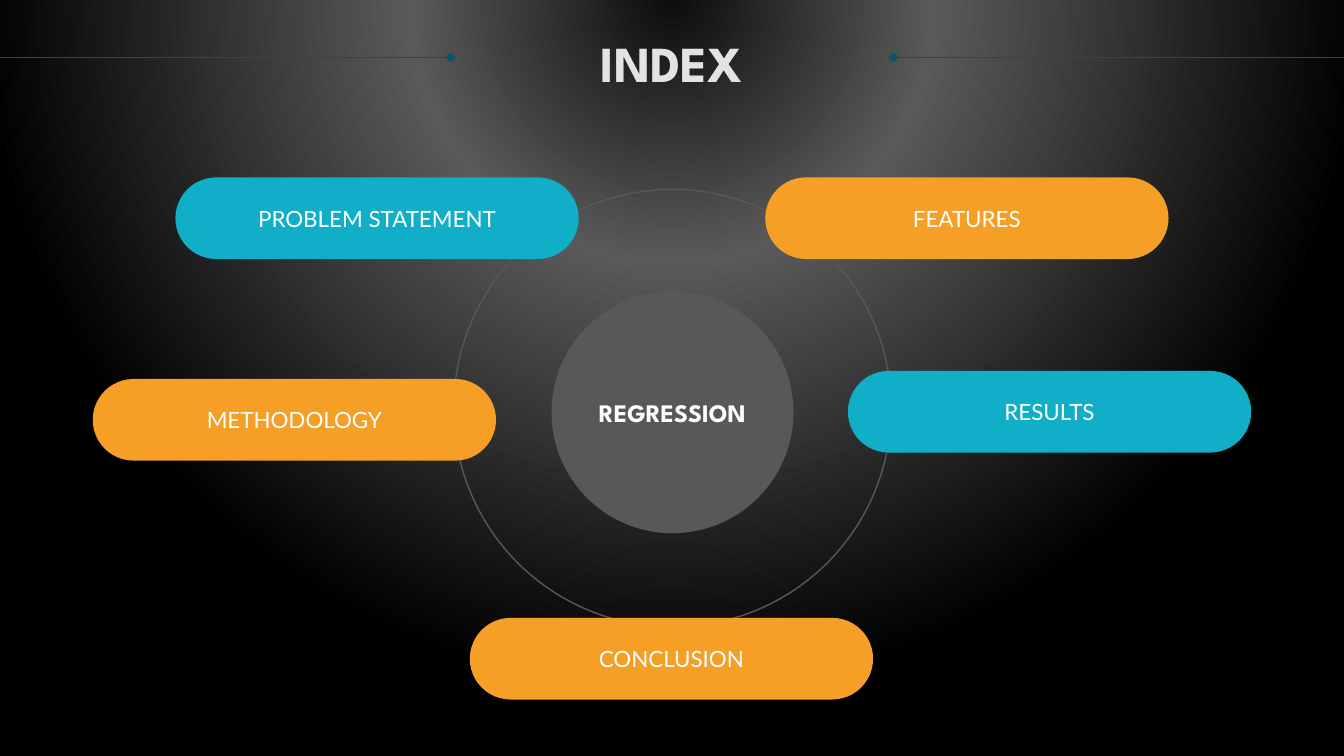
from dataclasses import dataclass

from lxml.etree import SubElement
from pptx import Presentation
from pptx.dml.color import RGBColor
from pptx.enum.shapes import MSO_CONNECTOR, MSO_SHAPE
from pptx.enum.text import MSO_ANCHOR, MSO_AUTO_SIZE, PP_ALIGN
from pptx.oxml import parse_xml
from pptx.oxml.ns import nsdecls, qn
from pptx.shapes.autoshape import Shape
from pptx.slide import Slide
from pptx.util import Inches, Pt

COLORS = {
    "orange": "F59F26",
    "cyan": "11AEC7",
    "teal": "085764",
    "gray": "585858",
    "title": "E3E3E3",
    "white": "FFFFFF",
}
# Background stops: position in percent, colour
BACKGROUND = [(0, "0D0D0D"), (34, "595959"), (90, "000000")]

TITLE_FONT = {"name": "League Spartan", "size": Pt(36), "bold": True}
HUB_FONT = {"name": "League Spartan", "size": Pt(18), "bold": True}
PILL_FONT = {"name": "Lato", "size": Pt(16), "bold": False}

PILL_WIDTH, PILL_HEIGHT = 4, 0.81
CENTER_X = 6.67
RULE_Y = 0.57


@dataclass
class Pill:
    text: str
    left: float
    top: float
    color: str


@dataclass
class Rule:
    start: float
    end: float
    dot_tag: str


PILLS = [
    Pill("FEATURES", 7.59, 1.76, "orange"),
    Pill("CONCLUSION", 4.66, 6.13, "orange"),
    Pill("PROBLEM STATEMENT", 1.74, 1.76, "cyan"),
    Pill("METHODOLOGY", 0.92, 3.76, "orange"),
    Pill("RESULTS", 8.41, 3.68, "cyan"),
]
RULES = [Rule(0, 4.47, "a:tailEnd"), Rule(8.86, 13.33, "a:headEnd")]


def rgb(name: str) -> RGBColor:
    return RGBColor.from_string(COLORS[name])


def set_background(s: Slide) -> None:
    s.background.fill.solid()
    solid = s.element.find(".//" + qn("p:bgPr")).find(qn("a:solidFill"))
    stops = "".join(
        f'<a:gs pos="{pos * 1000}"><a:srgbClr val="{color}"/></a:gs>'
        for pos, color in BACKGROUND
    )
    gradient = parse_xml(
        f'<a:gradFill {nsdecls("a")} rotWithShape="1"><a:gsLst>{stops}</a:gsLst>'
        '<a:path path="circle"><a:fillToRect l="50000" t="-80000" r="50000" b="180000"/>'
        "</a:path></a:gradFill>"
    )
    solid.getparent().replace(solid, gradient)


def set_text(sp: Shape, text: str, font: dict, color: str, anchor: MSO_ANCHOR) -> None:
    tf = sp.text_frame
    tf.word_wrap = True
    tf.vertical_anchor = anchor
    p = tf.paragraphs[0]
    p.alignment = PP_ALIGN.CENTER
    r = p.add_run()
    r.text = text
    for key, value in font.items():
        setattr(r.font, key, value)
    r.font.color.rgb = rgb(color)


def add_filled(s: Slide, kind: MSO_SHAPE, box: tuple, color: str) -> Shape:
    sp = s.shapes.add_shape(kind, *map(Inches, box))
    sp.shadow.inherit = False
    sp.fill.solid()
    sp.fill.fore_color.rgb = rgb(color)
    sp.line.fill.background()
    return sp


def add_ring(s: Slide, center_y: float, size: float) -> None:
    box = (CENTER_X - size / 2, center_y - size / 2, size, size)
    sp = add_filled(s, MSO_SHAPE.OVAL, box, "gray")
    sp.fill.background()
    sp.line.color.rgb = rgb("gray")
    sp.line.width = Pt(1)


def add_rule(s: Slide, rule: Rule) -> None:
    line = s.shapes.add_connector(
        MSO_CONNECTOR.STRAIGHT,
        Inches(rule.start), Inches(RULE_Y), Inches(rule.end), Inches(RULE_Y),
    )
    line.line.color.rgb = rgb("teal")
    line.line.width = Pt(0.5)
    SubElement(line.line._get_or_add_ln(), qn(rule.dot_tag), type="oval")
    SubElement(line._element.spPr, qn("a:effectLst"))


def add_title(s: Slide, text: str) -> None:
    sp = s.shapes.title
    frame = {"left": 0.25, "top": 0.32, "width": 12.83, "height": 1.08}
    for key, value in frame.items():
        setattr(sp, key, Inches(value))
    tf = sp.text_frame
    tf.auto_size = MSO_AUTO_SIZE.NONE
    for side in ("left", "top", "right", "bottom"):
        setattr(tf, f"margin_{side}", 0)
    set_text(sp, text, TITLE_FONT, "title", MSO_ANCHOR.TOP)


def main() -> None:
    prs = Presentation()
    prs.slide_width, prs.slide_height = Inches(13.33), Inches(7.5)
    s = prs.slides.add_slide(prs.slide_layouts[5])
    set_background(s)

    # Title between two dotted rules
    add_title(s, "INDEX")
    for rule in RULES:
        add_rule(s, rule)

    # Ring and hub
    add_ring(s, 4.05, 4.34)
    hub = add_filled(s, MSO_SHAPE.OVAL, (CENTER_X - 1.2, 2.89, 2.4, 2.4), "gray")
    set_text(hub, "REGRESSION", HUB_FONT, "white", MSO_ANCHOR.MIDDLE)

    # Topics around the ring
    for pill in PILLS:
        box = (pill.left, pill.top, PILL_WIDTH, PILL_HEIGHT)
        sp = add_filled(s, MSO_SHAPE.ROUNDED_RECTANGLE, box, pill.color)
        sp.adjustments[0] = 0.5
        set_text(sp, pill.text, PILL_FONT, "white", MSO_ANCHOR.MIDDLE)

    prs.save("out.pptx")


if __name__ == "__main__":
    main()
